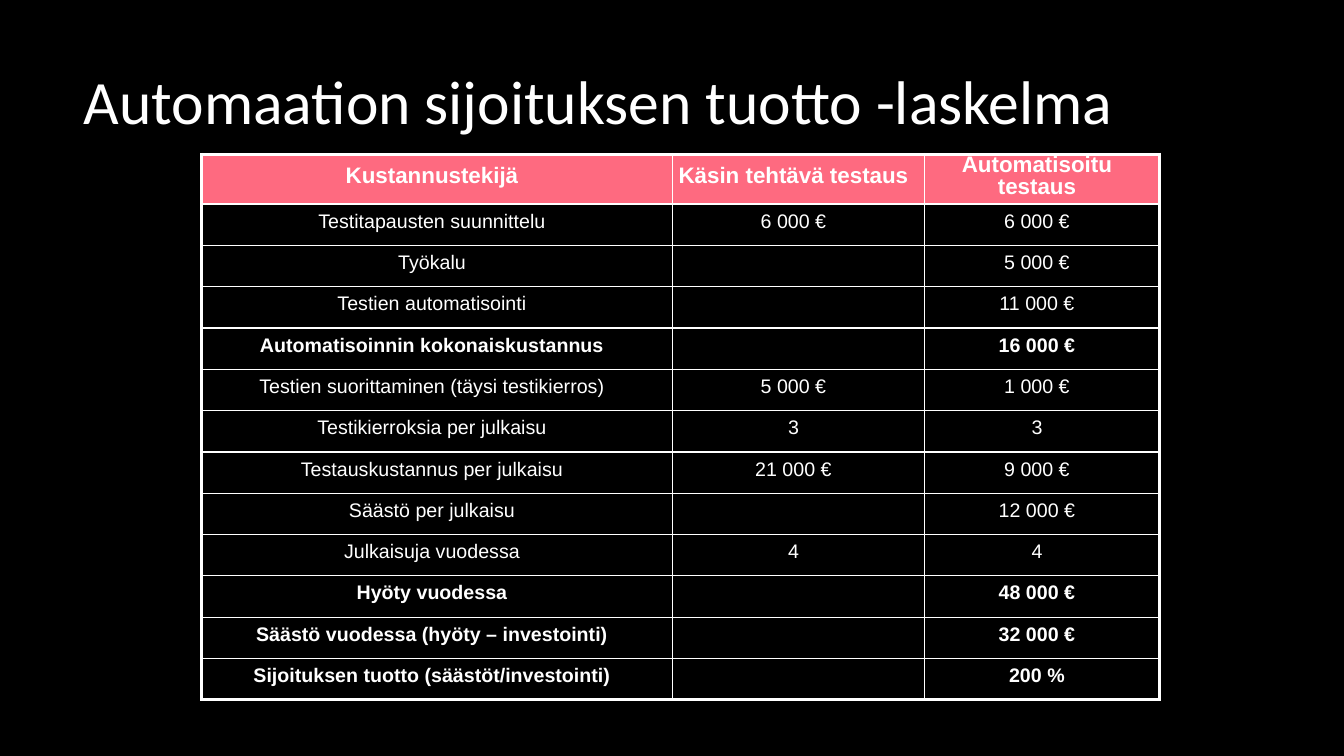
from lxml import etree
from pptx import Presentation
from pptx.dml.color import RGBColor
from pptx.enum.text import MSO_ANCHOR, PP_ALIGN
from pptx.oxml.ns import qn
from pptx.util import Inches, Pt

TITLE = "Automaation sijoituksen tuotto -laskelma"
HEADER = ("Kustannustekijä", "Käsin tehtävä testaus", "Automatisoitu testaus")
COSTS = [
    ("Testitapausten suunnittelu", "6 000 €", "6 000 €"),
    ("Työkalu", "", "5 000 €"),
    ("Testien automatisointi", "", "11 000 €"),
    ("Automatisoinnin kokonaiskustannus", "", "16 000 €"),
    ("Testien suorittaminen (täysi testikierros)", "5 000 €", "1 000 €"),
    ("Testikierroksia per julkaisu", "3", "3"),
    ("Testauskustannus per julkaisu", "21 000 €", "9 000 €"),
    ("Säästö per julkaisu", "", "12 000 €"),
    ("Julkaisuja vuodessa", "4", "4"),
    ("Hyöty vuodessa", "", "48 000 €"),
    ("Säästö vuodessa (hyöty – investointi)", "", "32 000 €"),
    ("Sijoituksen tuotto (säästöt/investointi)", "", "200 %"),
]
ROWS = [HEADER] + COSTS
BOLD_ROWS = {0, 4, 10, 11, 12}
COL_WIDTHS = (4.67, 2.5, 2.33)
ROW_HEIGHT = 0.41
LEFT, TOP = 2, 1.53
THIN, THICK = 1, 2.25

BLACK = RGBColor(0x00, 0x00, 0x00)
WHITE = RGBColor(0xFF, 0xFF, 0xFF)
PINK = RGBColor(0xFE, 0x6A, 0x80)
CENTER, LEFT_ALIGN = PP_ALIGN.CENTER, PP_ALIGN.LEFT
MIDDLE = MSO_ANCHOR.MIDDLE


def format_paragraph(p, font, size, bold, align):
    p.alignment = align
    p.line_spacing = 0.9
    p.font.name = font
    p.font.size = Pt(size)
    p.font.bold = bold
    p.font.color.rgb = WHITE


def add_borders(cell, row, col):
    """Draw thick lines on the table's outer edge and thin ones inside."""
    outer = {
        "a:lnL": col == 0,
        "a:lnR": col == len(HEADER) - 1,
        "a:lnT": row == 0,
        "a:lnB": row == len(ROWS) - 1,
    }
    tcPr = cell._tc.get_or_add_tcPr()
    for tag, is_outer in outer.items():
        width = Pt(THICK if is_outer else THIN)
        ln = etree.SubElement(tcPr, qn(tag), w=str(width))
        fill = etree.SubElement(ln, qn("a:solidFill"))
        etree.SubElement(fill, qn("a:srgbClr"), val=str(WHITE))


def fill_cell(cell, text, row, col):
    cell.text = text
    cell.vertical_anchor = MIDDLE
    cell.margin_left = cell.margin_top = 0
    cell.margin_right, cell.margin_bottom = Inches(0.1), Inches(0.05)
    format_paragraph(cell.text_frame.paragraphs[0], "Arial",
                     16 if row == 0 else 14, row in BOLD_ROWS, CENTER)
    add_borders(cell, row, col)
    if row == 0:
        cell.fill.solid()
        cell.fill.fore_color.rgb = PINK
    else:
        cell.fill.background()


prs = Presentation()
prs.slide_width, prs.slide_height = Inches(13.33), Inches(7.5)
s = prs.slides.add_slide(prs.slide_layouts[5])
s.background.fill.solid()
s.background.fill.fore_color.rgb = BLACK

title = s.shapes.title
title.left, title.top = Inches(0.73), Inches(0.6)
title.width, title.height = Inches(11.83), Inches(0.87)
tf = title.text_frame
tf.text = TITLE
tf.vertical_anchor = MIDDLE
format_paragraph(tf.paragraphs[0], "Calibri", 44, False, LEFT_ALIGN)

table = s.shapes.add_table(
    len(ROWS), len(HEADER), Inches(LEFT), Inches(TOP),
    Inches(sum(COL_WIDTHS)), Inches(ROW_HEIGHT * len(ROWS))).table
table.first_row = table.horz_banding = False
for column, width in zip(table.columns, COL_WIDTHS):
    column.width = Inches(width)
for i, texts in enumerate(ROWS):
    table.rows[i].height = Inches(ROW_HEIGHT)
    for j, text in enumerate(texts):
        fill_cell(table.cell(i, j), text, i, j)

prs.save("out.pptx")
